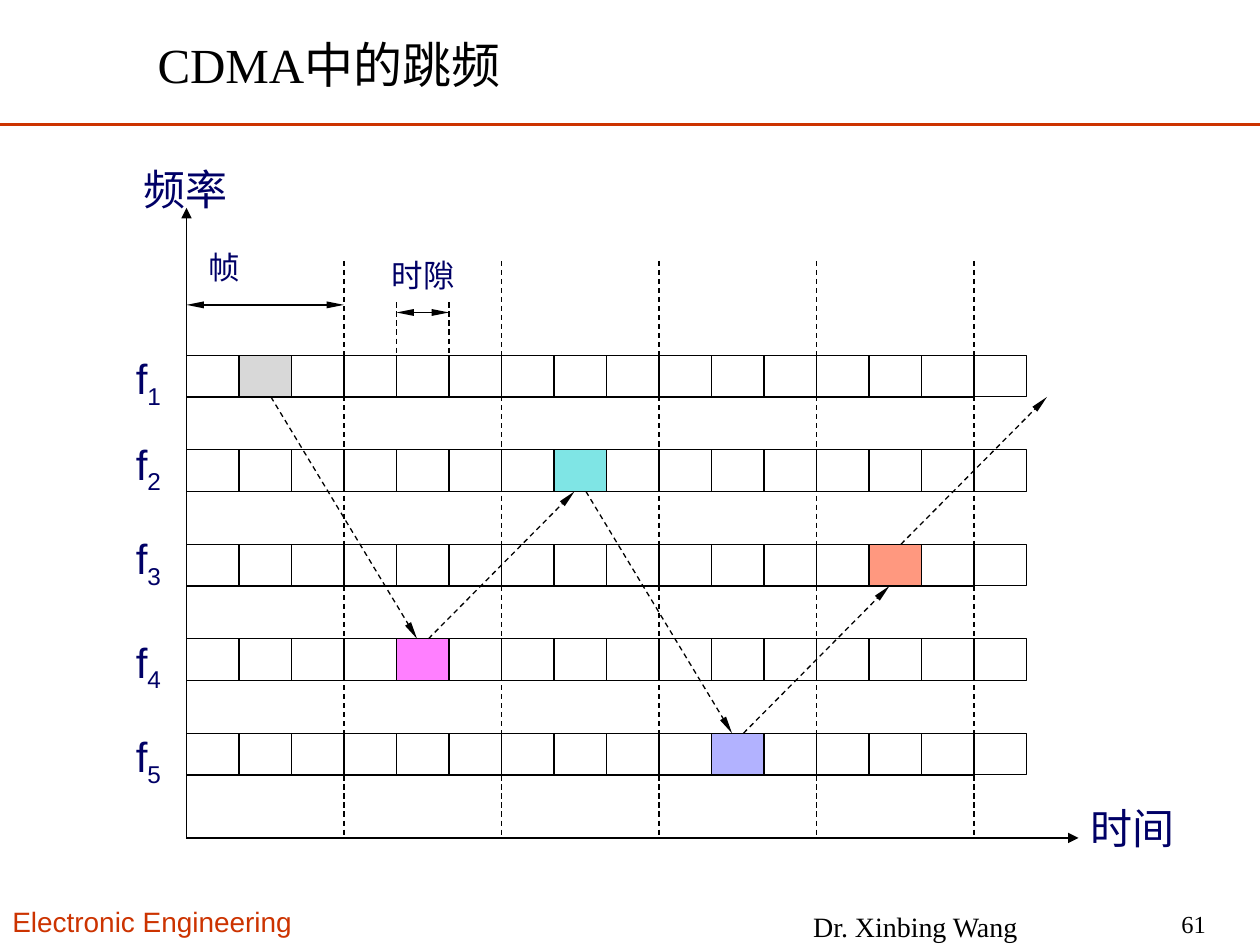
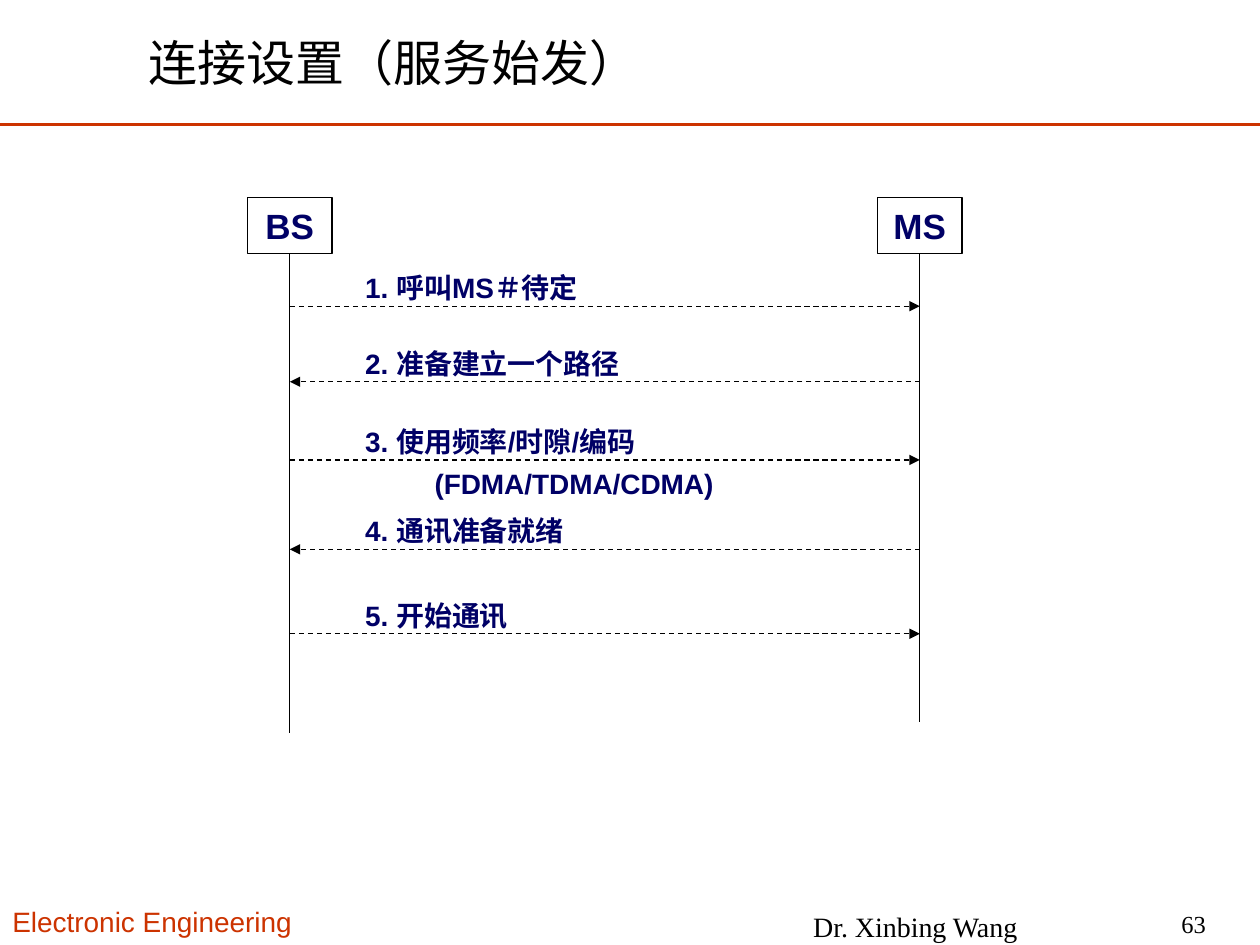
from dataclasses import dataclass
from itertools import pairwise
from typing import Any, NamedTuple

from lxml.etree import SubElement
from pptx import Presentation
from pptx.dml.color import RGBColor
from pptx.enum.dml import MSO_LINE
from pptx.enum.shapes import MSO_CONNECTOR, MSO_SHAPE
from pptx.enum.text import MSO_ANCHOR, PP_ALIGN
from pptx.oxml.ns import qn
from pptx.util import Inches, Pt

WIDTH, HEIGHT = Inches(10), Inches(7.5)
COLS, ROWS = 100, 75


@dataclass(frozen=True)
class Theme:
    """Colours, fonts and type sizes of the deck."""
    ink: str = "000000"
    navy: str = "000066"
    accent: str = "CC3300"
    serif: str = "Times New Roman"
    sans: str = "Arial"
    title: int = 28
    axis: int = 24
    node: int = 20
    label: int = 18
    body: int = 16
    number: int = 14
    hair: float = 0.75
    rule: float = 1.5


class Box(NamedTuple):
    """Left, top, width and height in grid columns and rows."""
    x: float
    y: float
    w: float
    h: float


class Point(NamedTuple):
    """Place in grid columns and rows."""
    x: float
    y: float


@dataclass(frozen=True)
class Style:
    """Look of one text."""
    size: int
    color: str
    font: str
    bold: bool = False
    align: PP_ALIGN = PP_ALIGN.LEFT
    anchor: MSO_ANCHOR = MSO_ANCHOR.TOP


class Hop(NamedTuple):
    """One used slot: channel, slot number and fill."""
    channel: int
    slot: int
    color: str | None


class Message(NamedTuple):
    """One signal between the stations."""
    y: float
    text: str


T = Theme()
TITLE = Style(T.title, T.ink, T.serif, anchor=MSO_ANCHOR.MIDDLE)
BRAND = Style(T.body, T.accent, T.sans)
AUTHOR = Style(T.body, T.ink, T.serif, align=PP_ALIGN.CENTER, anchor=MSO_ANCHOR.MIDDLE)
NUMBER = Style(T.number, T.ink, T.serif, align=PP_ALIGN.RIGHT, anchor=MSO_ANCHOR.MIDDLE)
AXIS = Style(T.axis, T.navy, T.sans)
AXIS_MID = Style(T.axis, T.navy, T.sans, align=PP_ALIGN.CENTER)
LABEL = Style(T.label, T.navy, T.sans)
LABEL_MID = Style(T.label, T.navy, T.sans, align=PP_ALIGN.CENTER)
NODE = Style(T.node, T.navy, T.sans, bold=True, align=PP_ALIGN.CENTER)
MESSAGE = Style(T.body, T.navy, T.sans, bold=True)

MEDIUM, SLIM = ("med", "med"), ("sm", "lg")

LEFT, TOP = 14.8, 28.2
SLOTS, PER_FRAME, FRAMES = 16, 3, 5
FRAME = 12.5
SLOT = FRAME / PER_FRAME
PITCH, CELL = 7.5, 3.3
BASE = 66.5
HOP_GAP = 0.45
CHANNEL_TOPS = (27.5, 34.3, 41.8, 50, 57.5)
HOPS = [Hop(channel, 1 + PER_FRAME * i, color) for i, (channel, color) in enumerate(
    [(0, "B2B2B2"), (3, "FF00FF"), (1, "00CCCC"), (4, "6666FF"), (2, "FF3300"), (0, None)])]

BS_X, MS_X = 23, 73
MESSAGES = [
    Message(24.3, "1. 呼叫MS＃待定"),
    Message(30.3, "2. 准备建立一个路径"),
    Message(36.5, "3. 使用频率/时隙/编码"),
    Message(43.6, "4. 通讯准备就绪"),
    Message(50.3, "5. 开始通讯"),
]


def col(x: float) -> int:
    """Turn grid columns into a length."""
    return round(WIDTH * x / COLS)


def row(y: float) -> int:
    """Turn grid rows into a length."""
    return round(HEIGHT * y / ROWS)


def put(obj: Any, values: dict[str, Any]) -> None:
    """Set attributes from format values."""
    for name, value in values.items():
        setattr(obj, name, value)


def place(box: Box) -> dict[str, int]:
    """Give the position values of a box."""
    return {"left": col(box.x), "top": row(box.y), "width": col(box.w), "height": row(box.h)}


def write(sp: Any, text: str, style: Style, sub: str = "", indent: float = 0) -> None:
    """Fill a shape with one paragraph and an optional subscript."""
    tf = sp.text_frame
    put(tf, {"word_wrap": True, "vertical_anchor": style.anchor})
    p = tf.paragraphs[0]
    p.alignment = style.align
    if indent:
        p._p.get_or_add_pPr().set("marL", str(col(indent)))
    for part in filter(None, (text, sub)):
        r = p.add_run()
        r.text = part
        put(r.font, {"size": Pt(style.size), "name": style.font, "bold": style.bold})
        r.font.color.rgb = RGBColor.from_string(style.color)
    if sub:
        r._r.get_or_add_rPr().set("baseline", "-25000")


def label(s: Any, box: Box, text: str, style: Style, **extra: Any) -> None:
    """Add a text box."""
    write(s.shapes.add_textbox(**place(box)), text, style, **extra)


def line(s: Any, a: Point, b: Point, color: str = T.ink, width: float = T.hair,
         dash: bool = False, arrow: tuple[str, str] | None = None, both: bool = False) -> None:
    """Draw a straight line with optional arrowheads."""
    sp = s.shapes.add_connector(MSO_CONNECTOR.STRAIGHT, col(a.x), row(a.y), col(b.x), row(b.y))
    sp.line.color.rgb = RGBColor.from_string(color)
    sp.line.width = Pt(width)
    if dash:
        sp.line.dash_style = MSO_LINE.DASH
    if arrow:
        for end in ("headEnd", "tailEnd") if both else ("tailEnd",):
            SubElement(sp.line._get_or_add_ln(), qn(f"a:{end}"),
                       type="triangle", w=arrow[0], len=arrow[1])
    SubElement(sp._element.spPr, qn("a:effectLst"))


def rect(s: Any, box: Box, color: str | None = None) -> Any:
    """Draw an outlined rectangle, half-transparent when filled."""
    sp = s.shapes.add_shape(MSO_SHAPE.RECTANGLE, **place(box))
    sp.shadow.inherit = False
    sp.line.color.rgb = RGBColor.from_string(T.ink)
    sp.line.width = Pt(T.hair)
    if color:
        sp.fill.solid()
        sp.fill.fore_color.rgb = RGBColor.from_string(color)
        clr = sp._element.spPr.find(qn("a:solidFill")).find(qn("a:srgbClr"))
        SubElement(clr, qn("a:alpha"), val="50000")
    else:
        sp.fill.background()
    return sp


def new_slide(prs: Any, title: str, box: Box, number: int) -> Any:
    """Add a slide with title, rule and footer."""
    s = prs.slides.add_slide(prs.slide_layouts[5])
    put(s.shapes.title, place(box))
    write(s.shapes.title, title, TITLE)
    line(s, Point(0, 9.9), Point(COLS, 9.9), T.accent, T.rule)
    label(s, Box(0, 71.3, 25.5, 3.7), "Electronic Engineering", BRAND)
    label(s, Box(60.5, 72.3, 24.3, 2.5), "Dr. Xinbing Wang", AUTHOR)
    label(s, Box(88.4, 72.1, 8.3, 2.5), str(number), NUMBER)
    return s


def draw_channel(s: Any, channel: int, label_top: float) -> None:
    """Draw the slots of one frequency channel."""
    y = TOP + channel * PITCH
    for edge in (y, y + CELL):
        line(s, Point(LEFT, edge), Point(LEFT + FRAMES * FRAME, edge))
    used = {h.slot: h.color for h in HOPS if h.channel == channel}
    for slot in range(SLOTS):
        rect(s, Box(LEFT + slot * SLOT, y, SLOT, CELL), used.get(slot))
    label(s, Box(9.8, label_top, 5, 5), "f", AXIS, sub=str(channel + 1))


def draw_hop(s: Any, a: Hop, b: Hop) -> None:
    """Draw the arrow from one used slot to the next."""
    down = b.channel > a.channel
    start = Point(LEFT + (a.slot + 0.5) * SLOT + HOP_GAP, TOP + a.channel * PITCH + CELL * down)
    end = Point(LEFT + (b.slot + 0.5) * SLOT - HOP_GAP, TOP + b.channel * PITCH + CELL * (not down))
    line(s, start, end, dash=True, arrow=SLIM)


def hopping_slide(prs: Any) -> None:
    """Build the frequency hopping chart."""
    s = new_slide(prs, "CDMA中的跳频", Box(11.5, 2.2, 75.8, 5.8), 61)
    origin = Point(LEFT, BASE)
    line(s, origin, Point(85.6, BASE), arrow=MEDIUM)
    line(s, origin, Point(LEFT, 16.5), arrow=MEDIUM)
    label(s, Box(5.6, 12.5, 18.3, 5), "频率", AXIS_MID)
    label(s, Box(85.6, 63.2, 10, 5), "时间", AXIS)
    for channel, label_top in enumerate(CHANNEL_TOPS):
        draw_channel(s, channel, label_top)
    for frame in range(1, FRAMES + 1):
        x = LEFT + frame * FRAME
        line(s, Point(x, 20.7), Point(x, BASE), dash=True)
    for a, b in pairwise(HOPS):
        draw_hop(s, a, b)
    line(s, Point(LEFT, 24.2), Point(LEFT + FRAME, 24.2), arrow=SLIM, both=True)
    label(s, Box(15.6, 19.2, 10.8, 4), "帧", LABEL)
    slot_start, slot_end = (LEFT + n * SLOT for n in (4, 5))
    for x in (slot_start, slot_end):
        line(s, Point(x, 24), Point(x, TOP), dash=True)
    line(s, Point(slot_start, 24.8), Point(slot_end, 24.8), arrow=SLIM, both=True)
    label(s, Box(29, 19.8, 9.2, 4), "时隙", LABEL_MID)


def setup_slide(prs: Any) -> None:
    """Build the connection setup sequence."""
    s = new_slide(prs, "连接设置（服务始发）", Box(10.8, 1.5, 66.3, 6.9), 63)
    for name, x, bottom in (("BS", BS_X, 58.2), ("MS", MS_X, 57.3)):
        write(rect(s, Box(x - 3.35, 15.7, 6.7, 4.4)), name, NODE)
        line(s, Point(x, 20.1), Point(x, bottom))
    for i, m in enumerate(MESSAGES):
        ends = [Point(BS_X, m.y), Point(MS_X, m.y)]
        a, b = reversed(ends) if i % 2 else ends
        line(s, a, b, dash=True, arrow=MEDIUM)
        label(s, Box(28, m.y - 3.3, 44.2, 3.7), m.text, MESSAGE)
    label(s, Box(28, MESSAGES[2].y, 44.2, 3.7), "(FDMA/TDMA/CDMA)", MESSAGE, indent=5.5)


def main() -> None:
    """Build and save the deck."""
    prs = Presentation()
    put(prs, {"slide_width": WIDTH, "slide_height": HEIGHT})
    hopping_slide(prs)
    setup_slide(prs)
    prs.save("out.pptx")


if __name__ == "__main__":
    main()
